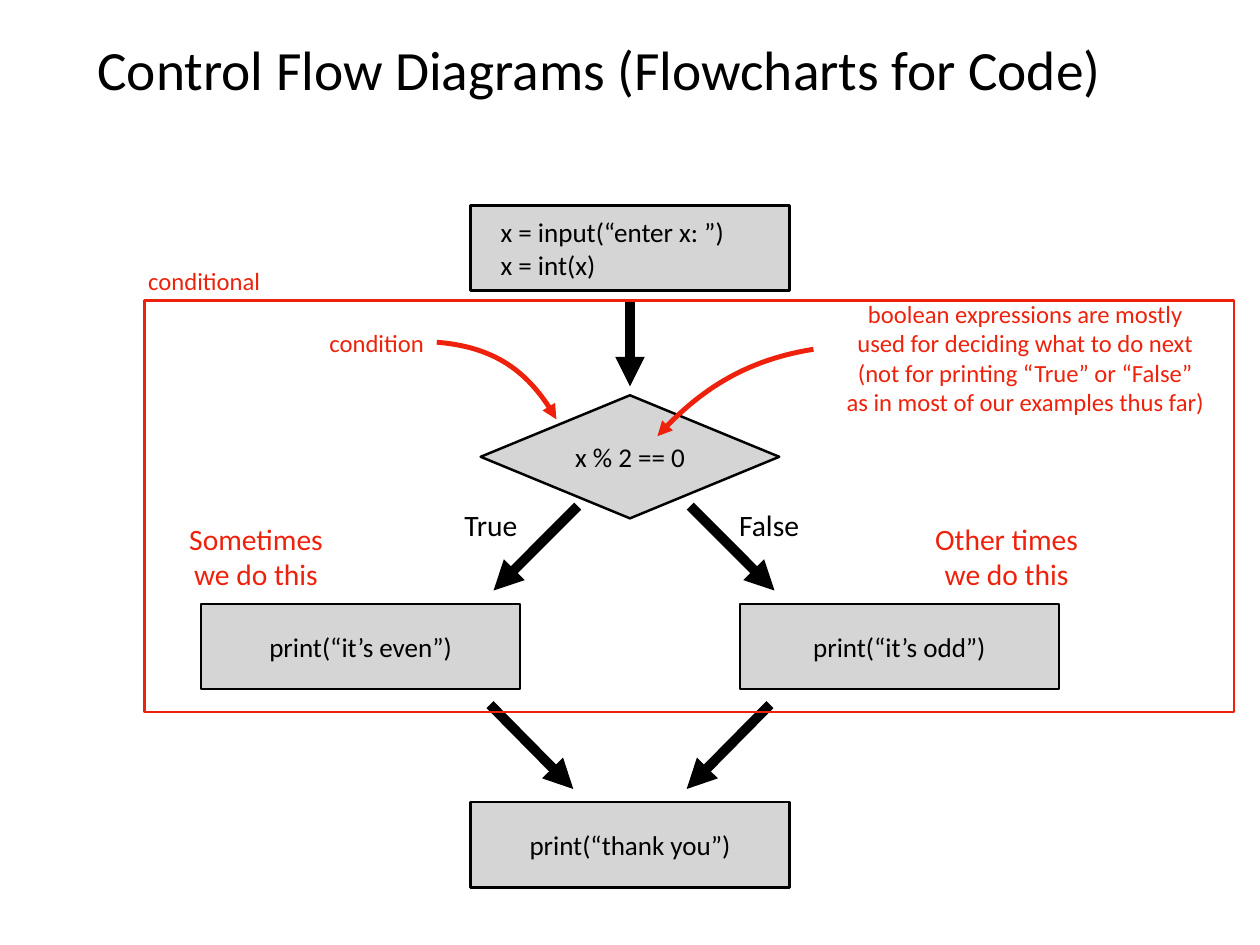
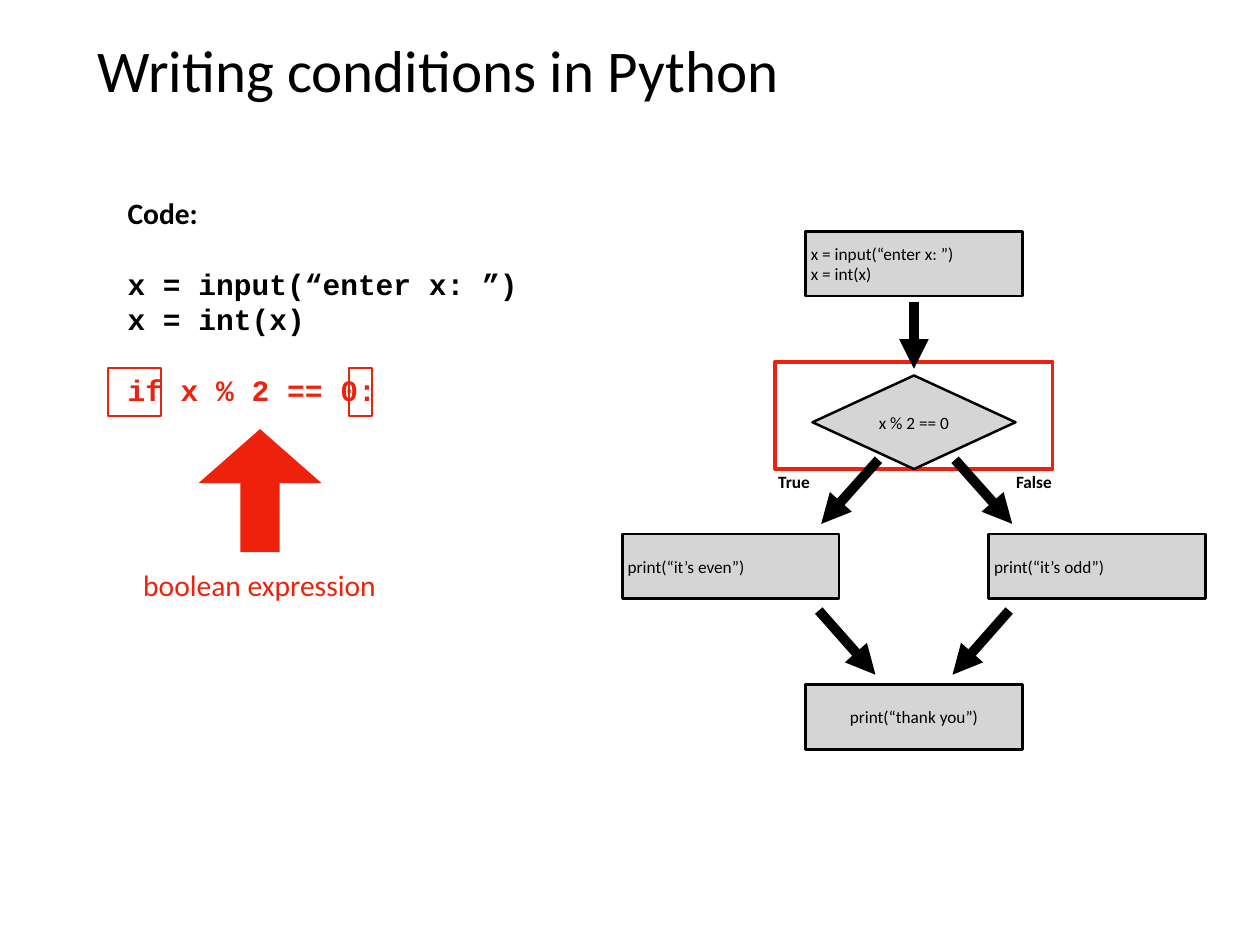
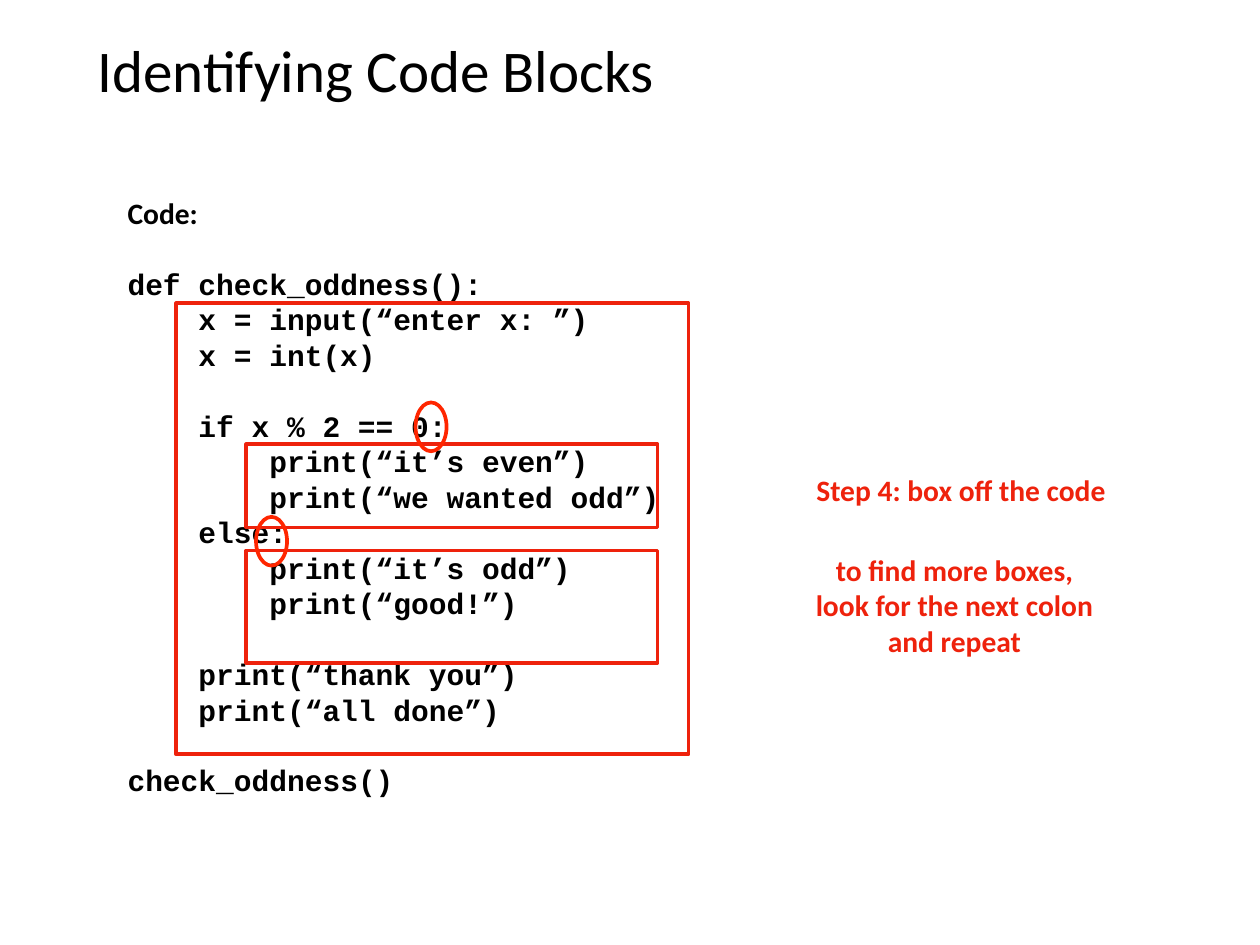
from dataclasses import dataclass

from lxml.etree import SubElement
from pptx import Presentation
from pptx.dml.color import RGBColor
from pptx.enum.shapes import MSO_CONNECTOR, MSO_SHAPE
from pptx.enum.text import MSO_ANCHOR, PP_ALIGN
from pptx.oxml.ns import qn
from pptx.util import Inches, Pt

# The slide is divided into 100 columns and 75 rows.
WIDTH, HEIGHT = Inches(14.22), Inches(10.66)
COLUMNS, ROWS = 100, 75


@dataclass(frozen=True)
class Theme:
    ink: str = "000000"
    box: str = "D6D5D5"
    red: str = "EE220C"
    ring: str = "FF2600"
    font: str = "Calibri"
    code_font: str = "Courier New"
    title: int = 48
    body: int = 24
    note: int = 20
    code_pitch: float = 28.8
    char_width: float = 0.6
    inset: float = 0.06
    thin: int = 2
    frame: int = 3
    curve: int = 4
    arrow: int = 8


T = Theme()


@dataclass(frozen=True)
class FlowStyle:
    """Where a flowchart sits, how far it is scaled and how its text is set."""
    center: float
    top: float
    scale_x: float
    scale_y: float
    size: int
    input_indent: float
    branch_align: PP_ALIGN
    label_size: int
    label_bold: bool
    label_offset: float
    label_row: float

    def point(self, x, y):
        return self.center + x * self.scale_x, self.top + y * self.scale_y

    def area(self, x, y, w, h):
        """Area whose top edge is centred on (x, y)."""
        return (*self.point(x - w / 2, y), w * self.scale_x, h * self.scale_y)


LARGE_FLOW = FlowStyle(50, 16.32, 1, 1, 22, 0.28, PP_ALIGN.CENTER,
                       24, False, 11.04, 25.35)
SMALL_FLOW = FlowStyle(72.54, 18.36, 0.68, 0.76, 14, 0, PP_ALIGN.LEFT,
                       14, True, 14, 26.15)


def col(n):
    return round(WIDTH * n / COLUMNS)


def row(n):
    return round(HEIGHT * n / ROWS)


def emu(x, y, w, h):
    return col(x), row(y), col(w), row(h)


def rgb(color):
    return RGBColor.from_string(color)


def style_line(obj, color, width, arrow=False):
    obj.line.color.rgb = rgb(color)
    obj.line.width = Pt(width)
    if arrow:
        SubElement(obj.line._get_or_add_ln(), qn("a:tailEnd"), type="triangle")


def set_font(p, size, color=T.ink, bold=False, font=T.font):
    for r in p.runs:
        f = r.font
        f.name, f.size, f.bold = font, Pt(size), bold
        f.color.rgb = rgb(color)


def prepare_frame(tf, anchor=MSO_ANCHOR.MIDDLE):
    tf.word_wrap = True
    tf.vertical_anchor = anchor
    tf.margin_left = tf.margin_right = Inches(T.inset)
    tf.margin_top = tf.margin_bottom = Inches(T.inset)


def set_text(sp, text, size, color=T.ink, align=PP_ALIGN.CENTER, bold=False):
    tf = sp.text_frame
    prepare_frame(tf)
    tf.text = text
    for p in tf.paragraphs:
        p.alignment = align
        set_font(p, size, color, bold)


def add_label(s, area, text, size=T.body, color=T.red, **style):
    set_text(s.shapes.add_textbox(*emu(*area)), text, size, color, **style)


def add_title(s, text, size=T.title):
    add_label(s, (7.31, 1.97, 85.37, 6.97), text, size, T.ink,
              align=PP_ALIGN.LEFT)


def add_shape(s, kind, area, fill=None, line=None, width=T.thin):
    sp = s.shapes.add_shape(kind, *emu(*area))
    sp.shadow.inherit = False
    if fill:
        sp.fill.solid()
        sp.fill.fore_color.rgb = rgb(fill)
    else:
        sp.fill.background()
    if line:
        style_line(sp, line, width)
    else:
        sp.line.fill.background()
    return sp


def add_outline(s, area, width=T.frame):
    add_shape(s, MSO_SHAPE.RECTANGLE, area, line=T.red, width=width)


def add_arrow(s, start, end):
    c = s.shapes.add_connector(MSO_CONNECTOR.STRAIGHT, col(start[0]),
                               row(start[1]), col(end[0]), row(end[1]))
    style_line(c, T.ink, T.arrow, arrow=True)
    SubElement(c._element.spPr, qn("a:effectLst"))


def add_curved_arrow(s, *points):
    """Cubic curve through a start, two control points and the arrow's tip."""
    start, *rest = [(col(x), row(y)) for x, y in points]
    builder = s.shapes.build_freeform(*start)
    builder.add_line_segments(rest, close=False)
    sp = builder.convert_to_shape()
    outline = next(sp._element.iter(qn("a:path")))
    segments = outline.findall(qn("a:lnTo"))
    curve = SubElement(outline, qn("a:cubicBezTo"))
    for segment in segments:
        curve.append(segment[0])
        outline.remove(segment)
    sp.shadow.inherit = False
    sp.fill.background()
    style_line(sp, T.red, T.curve, arrow=True)


def add_code(s, height, lines):
    """Each line is (indent level, text, gap before it, colour)."""
    tf = s.shapes.add_textbox(*emu(9.7, 15.06, 45, height)).text_frame
    prepare_frame(tf, MSO_ANCHOR.TOP)
    tf.text = "Code:"
    set_font(tf.paragraphs[0], T.body, bold=True)
    for level, text, gap, color in lines:
        p = tf.add_paragraph()
        p.text = text
        p.line_spacing = Pt(T.code_pitch)
        p.space_before = Pt(T.code_pitch if gap else 0)
        indent = Pt(level * 4 * T.char_width * T.body)
        p._p.get_or_add_pPr().set("marL", str(indent))
        set_font(p, T.body, color, True, T.code_font)


def add_flowchart(s, flow):
    def box(kind, area, text, align=PP_ALIGN.CENTER):
        sp = add_shape(s, kind, flow.area(*area), T.box, T.ink)
        set_text(sp, text, flow.size, align=align)
        return sp

    def arrow(start, end):
        add_arrow(s, flow.point(*start), flow.point(*end))

    step_size = 25.32, 6.75
    box(MSO_SHAPE.DIAMOND, (0, 15.05, 23.7, 9.77), "x % 2 == 0")
    arrow((0, 7.4), (0, 14.35))
    branches = ((-1, "True", "print(“it’s even”)"),
                (1, "False", "print(“it’s odd”)"))
    for side, answer, text in branches:
        box(MSO_SHAPE.RECTANGLE, (side * 21.38, 31.6, *step_size), text,
            flow.branch_align)
        arrow((0.32 + side * 4.47, 23.85), (0.32 + side * 11.15, 30.55))
        arrow((side * 11.11, 39.6), (side * 4.5, 46.3))
        x, y = flow.point(side * flow.label_offset, flow.label_row)
        add_label(s, (x - 3.5, y - 1.8, 7, 3.6), answer, flow.label_size,
                  T.ink, bold=flow.label_bold)
    box(MSO_SHAPE.RECTANGLE, (0, 47.35, *step_size), "print(“thank you”)")
    sp = box(MSO_SHAPE.RECTANGLE, (0, 0, *step_size),
             "x = input(“enter x: ”)\nx = int(x)", PP_ALIGN.LEFT)
    sp.text_frame.margin_left = Inches(T.inset + flow.input_indent)


def flow_diagram_slide(s):
    add_title(s, "Control Flow Diagrams (Flowcharts for Code)", 45)
    add_flowchart(s, LARGE_FLOW)
    add_label(s, (13.78, 40.95, 13.08, 6.4), "Sometimes\nwe do this")
    add_label(s, (72.93, 40.95, 13.92, 6.4), "Other times\nwe do this")
    add_curved_arrow(s, (64.56, 27.72), (59.7, 28.5), (55.56, 30.82),
                     (52.18, 34.62))
    add_label(s, (64.42, 23.29, 33.9, 10.2),
              "boolean expressions are mostly\n"
              "used for deciding what to do next\n"
              "(not for printing “True” or “False”\n"
              "as in most of our examples thus far)", T.note)
    add_curved_arrow(s, (34.67, 27.16), (38.96, 27.51), (42.12, 29.55),
                     (44.16, 33.28))
    add_label(s, (25.18, 25.61, 9.42, 3.1), "condition", T.note)
    add_outline(s, (11.46, 23.85, 86.5, 32.65), T.thin)
    add_label(s, (10.69, 20.76, 11.04, 3.1), "conditional", T.note)


def conditions_slide(s):
    add_outline(s, (61.53, 28.71, 22.01, 8.51))
    add_title(s, "Writing conditions in Python")
    add_code(s, 17.7, [
        (0, "x = input(“enter x: ”)", True, T.ink),
        (0, "x = int(x)", False, T.ink),
        (0, "if x % 2 == 0:", True, T.red),
    ])
    for x, w in ((8.58, 4.22), (27.71, 1.83)):
        add_outline(s, (x, 29.2, w, 3.8), T.thin)
    sp = add_shape(s, MSO_SHAPE.UP_ARROW, (15.75, 34.05, 9.77, 9.77), T.red)
    sp.adjustments[0], sp.adjustments[1] = 0.32, 0.44
    add_label(s, (9.42, 44.61, 22.36, 3.59), "boolean expression")
    add_flowchart(s, SMALL_FLOW)


def code_blocks_slide(s):
    add_title(s, "Identifying Code Blocks")
    lines = [
        (0, "def check_oddness():", True),
        (1, "x = input(“enter x: ”)", False),
        (1, "x = int(x)", False),
        (1, "if x % 2 == 0:", True),
        (2, "print(“it’s even”)", False),
        (2, "print(“we wanted odd”)", False),
        (1, "else:", False),
        (2, "print(“it’s odd”)", False),
        (2, "print(“good!”)", False),
        (1, "print(“thank you”)", True),
        (1, "print(“all done”)", False),
        (0, "check_oddness()", True),
    ]
    add_code(s, 48.6, [(*line, T.ink) for line in lines])
    add_label(s, (62.24, 37.08, 28.06, 3.6), "Step 4: box off the code",
              bold=True)
    add_label(s, (62.1, 43.41, 27.29, 9.22),
              "to find more boxes,\nlook for the next colon\nand repeat",
              bold=True)
    add_outline(s, (13.99, 24.06, 40.65, 35.81))
    for y, h in ((35.25, 6.61), (43.69, 8.94)):
        add_outline(s, (19.55, y, 32.63, h))
    for x, y in ((32.98, 31.94), (20.32, 41.02)):
        add_shape(s, MSO_SHAPE.OVAL, (x, y, 2.46, 3.87), line=T.ring,
                  width=T.frame)


def main():
    prs = Presentation()
    prs.slide_width, prs.slide_height = WIDTH, HEIGHT
    blank = prs.slide_layouts[6]
    for build in (flow_diagram_slide, conditions_slide, code_blocks_slide):
        build(prs.slides.add_slide(blank))
    prs.save("out.pptx")


if __name__ == "__main__":
    main()
